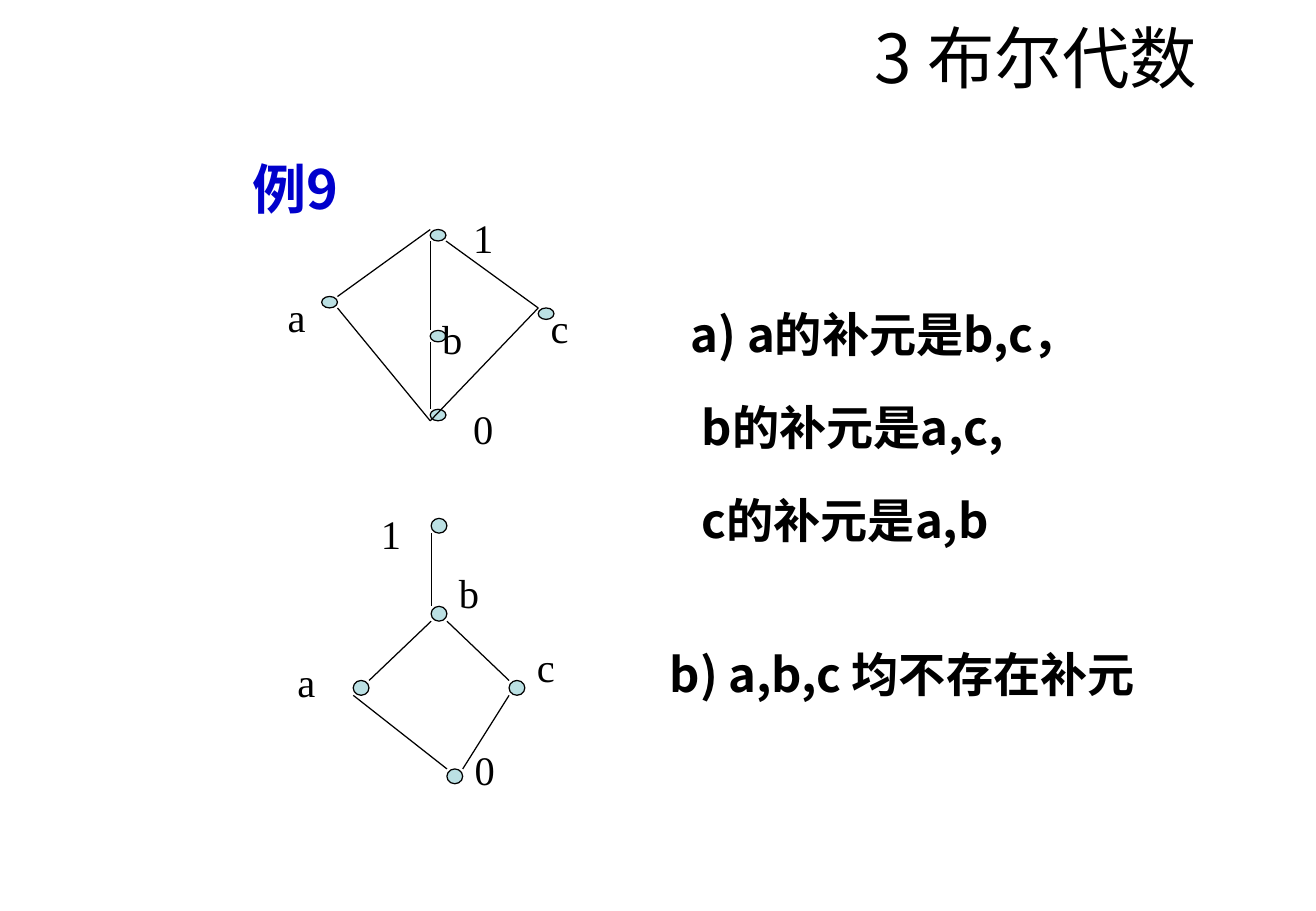
from dataclasses import dataclass

import lxml.etree
import pptx
import pptx.dml.color
import pptx.enum.shapes
import pptx.enum.text
import pptx.oxml.ns
import pptx.util
from pptx.util import Cm, Pt

SANS = "Noto Sans CJK SC"
SERIF = "Times New Roman"
BLACK = "000000"
NODE_WIDTH = 0.33
LABEL_WIDTH, LABEL_HEIGHT = 1.6, 1.27
CORNERS = {"TL": (0, 0), "TR": (1, 0), "BL": (0, 1), "BR": (1, 1)}


@dataclass(frozen=True)
class Node:
    name: str
    left: float
    top: float
    label_left: float
    label_top: float


@dataclass(frozen=True)
class Edge:
    start: str
    start_corner: str
    end: str
    end_corner: str


@dataclass(frozen=True)
class Lattice:
    node_height: float
    nodes: list[Node]
    edges: list[Edge]


@dataclass(frozen=True)
class Answer:
    text: str
    indent: float
    space_before: float


DIAMOND = Lattice(
    0.24,
    [
        Node("1", 9.0, 4.8, 9.65, 4.33),
        Node("a", 6.73, 6.2, 5.77, 5.98),
        Node("b", 9.0, 6.91, 9.0, 6.45),
        Node("c", 11.26, 6.44, 11.27, 6.21),
        Node("0", 9.0, 8.56, 9.65, 8.33),
    ],
    [
        Edge("1", "TL", "a", "TR"),
        Edge("1", "BL", "b", "TL"),
        Edge("1", "BR", "c", "TL"),
        Edge("c", "TL", "0", "BL"),
        Edge("a", "BR", "0", "BL"),
        Edge("b", "BL", "0", "TL"),
    ],
)
KITE = Lattice(
    0.31,
    [
        Node("1", 9.02, 10.84, 7.72, 10.52),
        Node("b", 9.02, 12.68, 9.35, 11.76),
        Node("a", 7.39, 14.23, 5.97, 13.61),
        Node("c", 10.65, 14.23, 10.98, 13.31),
        Node("0", 9.35, 16.08, 9.68, 15.46),
    ],
    [
        Edge("1", "BL", "b", "TL"),
        Edge("b", "BL", "a", "TR"),
        Edge("b", "BR", "c", "TL"),
        Edge("a", "BL", "0", "TL"),
        Edge("c", "BL", "0", "TR"),
    ],
)
ANSWERS = [
    Answer("a) a的补元是b,c，", 0.66, 0),
    Answer("b的补元是a,c,", 0.89, 21.5),
    Answer("c的补元是a,b", 0.89, 21.5),
    Answer("b) a,b,c 均不存在补元", 0.22, 57.4),
]


def color(value: str) -> pptx.dml.color.RGBColor:
    return pptx.dml.color.RGBColor.from_string(value)


def format_runs(paragraph, font: str, size: float, fill: str = BLACK, bold: bool = False) -> None:
    for span in paragraph.runs:
        span.font.name = font
        span.font.size = Pt(size)
        span.font.bold = bold
        span.font.color.rgb = color(fill)
        east_asian = lxml.etree.SubElement(span.font._element, pptx.oxml.ns.qn("a:ea"))
        east_asian.set("typeface", font)


def add_text_box(shapes, left: float, top: float, width: float, height: float):
    box = shapes.add_textbox(Cm(left), Cm(top), Cm(width), Cm(height))
    box.text_frame.word_wrap = True
    return box


def draw_lattice(page, lattice: Lattice) -> None:
    shapes = page.shapes.add_group_shape().shapes
    nodes = {node.name: node for node in lattice.nodes}

    def corner(name: str, side: str) -> tuple[int, int]:
        across, down = CORNERS[side]
        node = nodes[name]
        return Cm(node.left + across * NODE_WIDTH), Cm(node.top + down * lattice.node_height)

    for node in lattice.nodes:
        dot = shapes.add_shape(
            pptx.enum.shapes.MSO_SHAPE.OVAL,
            Cm(node.left), Cm(node.top), Cm(NODE_WIDTH), Cm(lattice.node_height),
        )
        dot.shadow.inherit = False
        dot.fill.solid()
        dot.fill.fore_color.rgb = color("BBE0E3")
        dot.line.color.rgb = color(BLACK)
        dot.line.width = Pt(0.75)
    for edge in lattice.edges:
        line = shapes.add_connector(
            pptx.enum.shapes.MSO_CONNECTOR.STRAIGHT,
            *corner(edge.start, edge.start_corner),
            *corner(edge.end, edge.end_corner),
        )
        line.line.color.rgb = color(BLACK)
        line.line.width = Pt(0.75)
        lxml.etree.SubElement(line._element.spPr, pptx.oxml.ns.qn("a:effectLst"))
    for node in lattice.nodes:
        label = add_text_box(shapes, node.label_left, node.label_top, LABEL_WIDTH, LABEL_HEIGHT)
        label.text_frame.text = node.name
        format_runs(label.text_frame.paragraphs[0], SERIF, 24)


def draw_title(page) -> None:
    title = page.shapes.title
    title.left, title.top, title.width, title.height = Cm(15.83), Cm(0.44), Cm(11.68), Cm(1.47)
    frame = title.text_frame
    frame.text = "3 布尔代数"
    frame.auto_size = pptx.enum.text.MSO_AUTO_SIZE.NONE
    frame.vertical_anchor = pptx.enum.text.MSO_ANCHOR.MIDDLE
    frame.paragraphs[0].alignment = pptx.enum.text.PP_ALIGN.CENTER
    format_runs(frame.paragraphs[0], SANS, 40)


def draw_answers(page) -> None:
    frame = add_text_box(page.shapes, 13.54, 6.26, 13.99, 9.98).text_frame
    frame.text = "\n".join(answer.text for answer in ANSWERS)
    for paragraph, answer in zip(frame.paragraphs, ANSWERS):
        paragraph._p.get_or_add_pPr().set("marL", str(Cm(answer.indent)))
        paragraph.space_before = Pt(answer.space_before)
        format_runs(paragraph, SANS, 28, bold=True)


def main() -> None:
    deck = pptx.Presentation()
    deck.slide_width, deck.slide_height = Cm(27.53), Cm(19.05)
    page = deck.slides.add_slide(deck.slide_layouts[5])
    draw_title(page)
    heading = add_text_box(page.shapes, 5.04, 3.13, 5, 1.8)
    heading.text_frame.text = "例9"
    format_runs(heading.text_frame.paragraphs[0], SANS, 32, "0000CC", True)
    draw_answers(page)
    for lattice in (DIAMOND, KITE):
        draw_lattice(page, lattice)
    deck.save("out.pptx")


if __name__ == "__main__":
    main()
